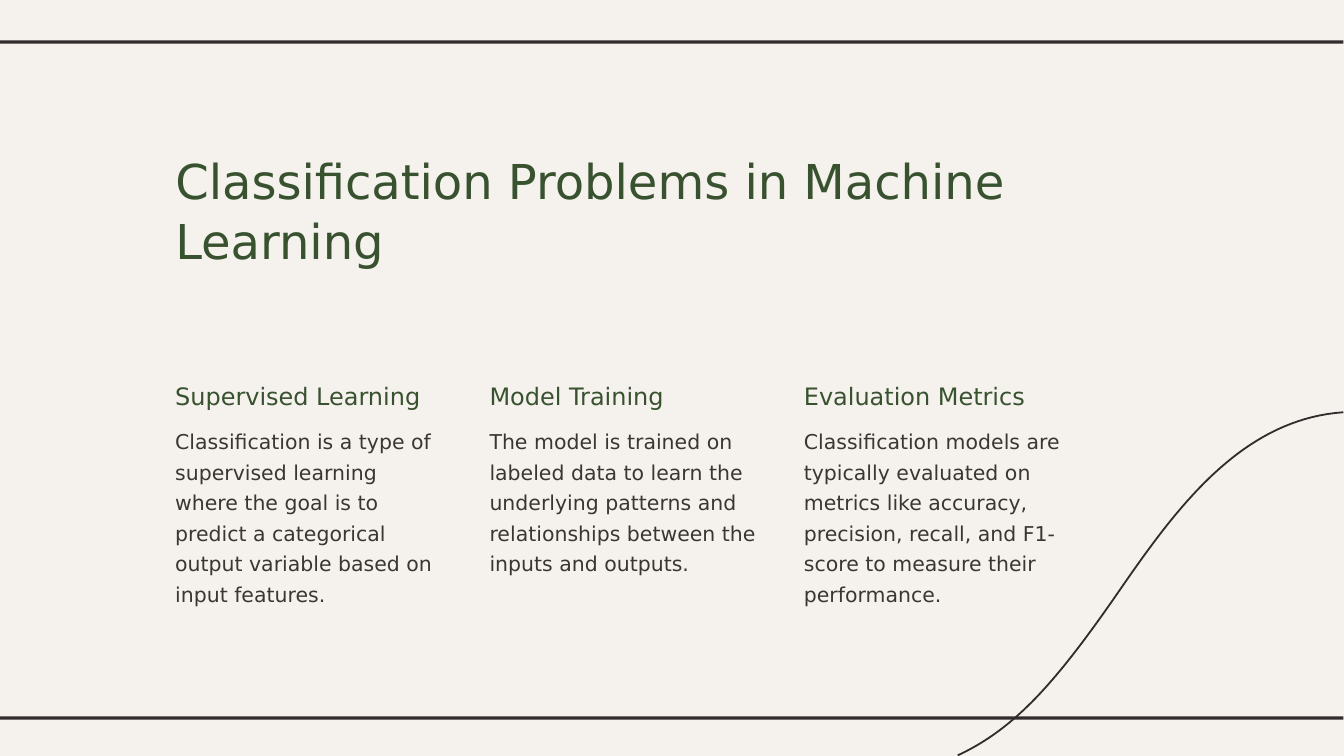
"""Build the slide on classification problems in machine learning."""
from pptx import Presentation
from pptx.dml.color import RGBColor
from pptx.enum.shapes import MSO_SHAPE as SHAPE
from pptx.enum.text import MSO_ANCHOR as ANCHOR, MSO_AUTO_SIZE as AUTO, PP_ALIGN as ALIGN
from pptx.util import Inches, Pt

TITLE = "Classification Problems in Machine Learning"
TOPICS = [
    ("Supervised Learning",
     "Classification is a type of supervised learning where the goal is to predict "
     "a categorical output variable based on input features."),
    ("Model Training",
     "The model is trained on labeled data to learn the underlying patterns and "
     "relationships between the inputs and outputs."),
    ("Evaluation Metrics",
     "Classification models are typically evaluated on metrics like accuracy, "
     "precision, recall, and F1-score to measure their performance."),
]
FONT = "DejaVu Sans"
CREAM, DARK, GREEN, BROWN = "F5F2EE", "332C2C", "38512F", "3A3630"
LEFT, COLUMN_STEP, COLUMN_WIDTH = 2.51, 4.68, 4.23
RULE_TOPS = (0.6, 10.67)
CURVE = [
    ((20, 6.14), (18.4, 6.25), (17.41, 7.72), (16.56, 8.95)),
    ((16.56, 8.95), (15.7, 10.18), (15.1, 10.86), (14.26, 11.25)),
]
CURVE_STEPS = 40


def rgb(color):
    return RGBColor.from_string(color)


def write(sp, text, size, spacing, color, wrap=True):
    tf = sp.text_frame
    tf.word_wrap = wrap
    tf.auto_size = AUTO.NONE
    tf.vertical_anchor = ANCHOR.TOP
    tf.margin_left = tf.margin_right = Inches(0.1)
    tf.margin_top = tf.margin_bottom = 0
    p = tf.paragraphs[0]
    p.alignment = ALIGN.LEFT
    p.line_spacing = Pt(spacing)
    p.space_before = Pt(0)
    r = p.add_run()
    r.text = text
    r.font.name, r.font.size = FONT, Pt(size)
    r.font.color.rgb = rgb(color)


def add_text(s, box, text, **fmt):
    write(s.shapes.add_textbox(*map(Inches, box)), text, **fmt)


def bezier(points, t):
    weights = ((1 - t) ** 3, 3 * t * (1 - t) ** 2, 3 * t ** 2 * (1 - t), t ** 3)
    return tuple(Inches(sum(w * v for w, v in zip(weights, axis))) for axis in zip(*points))


def add_curve(s):
    start, *rest = [bezier(part, i / CURVE_STEPS)
                    for part in CURVE for i in range(CURVE_STEPS + 1)]
    builder = s.shapes.build_freeform(*start)
    builder.add_line_segments(rest, close=False)
    sp = builder.convert_to_shape()
    sp.shadow.inherit = False
    sp.fill.background()
    sp.line.color.rgb = rgb(DARK)
    sp.line.width = Pt(1.97)


def add_rule(s, top):
    sp = s.shapes.add_shape(SHAPE.RECTANGLE, 0, Inches(top), Inches(20), Inches(0.05))
    sp.shadow.inherit = False
    sp.fill.solid()
    sp.fill.fore_color.rgb = rgb(DARK)
    sp.line.fill.background()


def main():
    prs = Presentation()
    prs.slide_width, prs.slide_height = Inches(20.01), Inches(11.26)
    s = prs.slides.add_slide(prs.slide_layouts[5])
    s.background.fill.solid()
    s.background.fill.fore_color.rgb = rgb(CREAM)

    add_curve(s)
    for top in RULE_TOPS:
        add_rule(s, top)

    title = s.shapes.title
    title.left, title.top, title.width, title.height = map(Inches, (LEFT, 2.22, 13.59, 1.79))
    write(title, TITLE, size=51.5, spacing=64.4, color=GREEN)

    for i, (heading, body) in enumerate(TOPICS):
        x = LEFT + i * COLUMN_STEP
        add_text(s, (x, 5.67, 3.58, 0.45), heading,
                 size=25.7, spacing=32.2, color=GREEN, wrap=False)
        add_text(s, (x, 6.3, COLUMN_WIDTH, 2.28), body, size=21.9, spacing=32.8, color=BROWN)

    prs.save("out.pptx")


if __name__ == "__main__":
    main()
